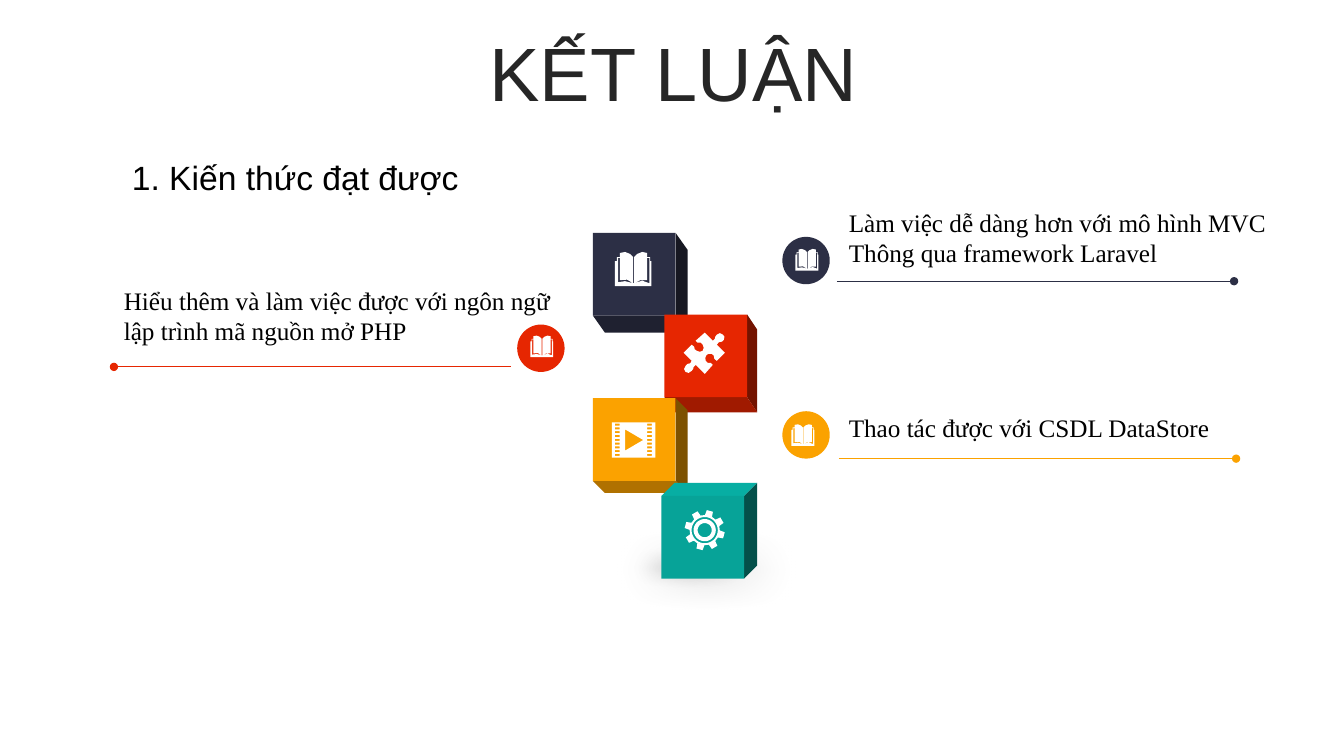
import math
from lxml import etree
from pptx import Presentation
from pptx import util as u
from pptx.dml.color import RGBColor
from pptx.enum import shapes, text
from pptx.oxml import ns

NAVY, RED, AMBER, TEAL, WHITE = "2C2F45", "E62601", "FBA200", "07A398", "FFFFFF"
deck = Presentation()
deck.slide_width, deck.slide_height = u.Inches(13.33), u.Inches(7.5)
slide = deck.slides.add_slide(deck.slide_layouts[6])
canvas = slide.shapes


def paint(part, colour):
    part.shadow.inherit = False
    part.fill.solid()
    part.fill.fore_color.rgb = RGBColor.from_string(colour)
    part.line.fill.background()
    return part


def outline(contours, colour, left=0, top=0, scale=1):
    rings = [[(u.Inches(left + x * scale), u.Inches(top + y * scale)) for x, y in ring]
             for ring in contours]
    builder = canvas.build_freeform(*rings[0][0], scale=1.0)
    builder.add_line_segments(rings[0][1:])
    for ring in rings[1:]:
        builder.move_to(*ring[0])
        builder.add_line_segments(ring[1:])
    return paint(builder.convert_to_shape(), colour)


for left, top, width, height, softness in [
    (5.17, 5.19, 3.67, 0.92, 0.38),
    (5.88, 5.39, 1.89, 0.47, 0.18),
]:
    shade = paint(canvas.add_shape(shapes.MSO_SHAPE.OVAL, u.Inches(left), u.Inches(top),
                                   u.Inches(width), u.Inches(height)), "808080")
    tone = shade.fill._xPr.find(".//" + ns.qn("a:srgbClr"))
    etree.SubElement(tone, ns.qn("a:alpha"), val="51000")
    effects = shade._element.spPr.find(ns.qn("a:effectLst"))
    etree.SubElement(effects, ns.qn("a:softEdge"), rad=str(u.Inches(softness)))

for words, left, top, width, height, font, size, colour in [
    ("KẾT LUẬN", 0.35, 0.37, 12.66, 0.79, "Arial", 54, "262626"),
    ("1. Kiến thức đạt được", 1.21, 1.51, 3.61, 0.5, "Arial", 24, "000000"),
    ("Làm việc dễ dàng hơn với mô hình MVC Thông qua framework Laravel",
     8.32, 2.01, 4.39, 0.62, "Times New Roman", 18, "000000"),
    ("Hiểu thêm và làm việc được với ngôn ngữ lập trình mã nguồn mở PHP",
     1.13, 2.78, 4.56, 1, "Times New Roman", 18, "000000"),
    ("Thao tác được với CSDL DataStore", 8.32, 4.04, 3.94, 0.34, "Times New Roman", 18, "000000"),
]:
    box = canvas.add_textbox(u.Inches(left), u.Inches(top), u.Inches(width), u.Inches(height))
    box.text_frame.word_wrap = True
    line = box.text_frame.paragraphs[0]
    run = line.add_run()
    run.text = words
    for key, value in {"name": font, "size": u.Pt(size)}.items():
        setattr(run.font, key, value)
    run.font.color.rgb = RGBColor.from_string(colour)
    if size == 54:
        box.text_frame.vertical_anchor = text.MSO_ANCHOR.MIDDLE
        for key, value in {"alignment": text.PP_ALIGN.CENTER, "line_spacing": 0.9,
                           "space_before": u.Pt(10)}.items():
            setattr(line, key, value)

for left, top, side, depth, drop, front, flank, rim in [
    (5.88, 2.31, 0.82, 0.12, 0.17, NAVY, "171822", "1F2130"),
    (6.59, 3.12, 0.82, 0.1, 0.15, RED, "731300", "A01A00"),
    (5.88, 3.95, 0.82, 0.12, 0.12, AMBER, "7D5100", "B07100"),
    (6.56, 4.92, 0.82, 0.13, -0.13, TEAL, "04504A", "07AEA3"),
]:
    right, bottom = left + side, top + side
    edge = bottom if drop > 0 else top
    outline([[(right, top), (right + depth, top + drop),
              (right + depth, bottom + drop), (right, bottom)]], flank)
    outline([[(left, edge), (right, edge),
              (right + depth, edge + drop), (left + depth, edge + drop)]], rim)
    paint(canvas.add_shape(shapes.MSO_SHAPE.RECTANGLE, u.Inches(left), u.Inches(top),
                           u.Inches(side), u.Inches(side)), front)

book = [(18, 31), (19, 31), (27, 28.5), (34, 31), (34, 6), (32, 6), (32, 28), (25, 28),
        (19, 31), (19, 5), (22, 2), (27, 0), (32, 1), (32, 5), (35, 5), (35, 9), (36, 9),
        (36, 34), (0, 34), (0, 9), (2, 9), (2, 5), (5, 5), (5, 1), (10, 0), (15, 2), (18, 5),
        (18, 31), (12, 27.5), (5, 28), (5, 6), (3, 6), (3, 30), (10, 29)]
outline([book], WHITE, 6.1, 2.5, 0.01)

for colour, disc_left, disc_top, book_left, book_top, start, end, y, dotted in [
    (NAVY, 7.76, 2.35, 7.89, 2.47, 8.3, 12.24, 2.79, "tailEnd"),
    (RED, 5.13, 3.22, 5.26, 3.33, 1.13, 5.07, 3.64, "headEnd"),
    (AMBER, 7.76, 4.08, 7.85, 4.21, 8.32, 12.26, 4.55, "tailEnd"),
]:
    paint(canvas.add_shape(shapes.MSO_SHAPE.OVAL, u.Inches(disc_left), u.Inches(disc_top),
                           u.Inches(0.47), u.Inches(0.47)), colour)
    outline([book], WHITE, book_left, book_top, 0.0063)
    rule = canvas.add_connector(shapes.MSO_CONNECTOR.STRAIGHT, u.Inches(start), u.Inches(y),
                                u.Inches(end), u.Inches(y))
    rule.line.width = u.Pt(0.75)
    rule.line.color.rgb = RGBColor.from_string(colour)
    etree.SubElement(rule.line._get_or_add_ln(), ns.qn("a:" + dotted), type="oval")
    etree.SubElement(rule._element.spPr, ns.qn("a:effectLst"))

puzzle = [(39, 2), (40.5, 4), (40, 7), (38, 9), (35, 9.5), (33, 12), (41, 20), (33, 28),
          (30.5, 26), (30, 23), (28, 21), (25, 21), (23, 22), (21.5, 25), (22, 28), (24, 30),
          (27, 30), (29, 32), (21, 41), (12, 32), (10, 34), (9.5, 36), (8, 38), (5, 40),
          (2, 39), (0.5, 36), (2, 33), (4, 31), (6.5, 30.5), (8, 28), (0, 20), (8, 12),
          (10.5, 14), (11, 16.5), (13, 18), (16, 19), (19, 18), (20, 15), (19, 12), (17, 10),
          (14, 10), (12, 8), (21, 0), (29, 8), (31, 6), (31.5, 4), (33, 2), (36, 0.5)]
outline([puzzle], WHITE, 6.78, 3.3, 0.01)

film = [[(0, 0), (43, 0), (43, 35), (0, 35)], [(13, 7), (13, 28), (31, 17.5)]]
for column in (3, 35):
    for row in range(9):
        y = 1.3 + row * 3.75
        film.append([(column, y), (column + 4.5, y), (column + 4.5, y + 2), (column, y + 2)])
outline(film, WHITE, 6.07, 4.19, 0.01)

gear = [[]]
for tooth in range(8):
    for offset, radius in [(-14, 0.15), (-9, 0.2), (9, 0.2), (14, 0.15)]:
        angle = math.radians(15 + tooth * 45 + offset)
        gear[0].append((radius * math.cos(angle), radius * math.sin(angle)))
for radius in (0.13, 0.11, 0.07):
    gear.append([(radius * math.cos(math.radians(a)), radius * math.sin(math.radians(a)))
                 for a in range(0, 360, 10)])
outline(gear, WHITE, 6.99, 5.26)

deck.save("out.pptx")
